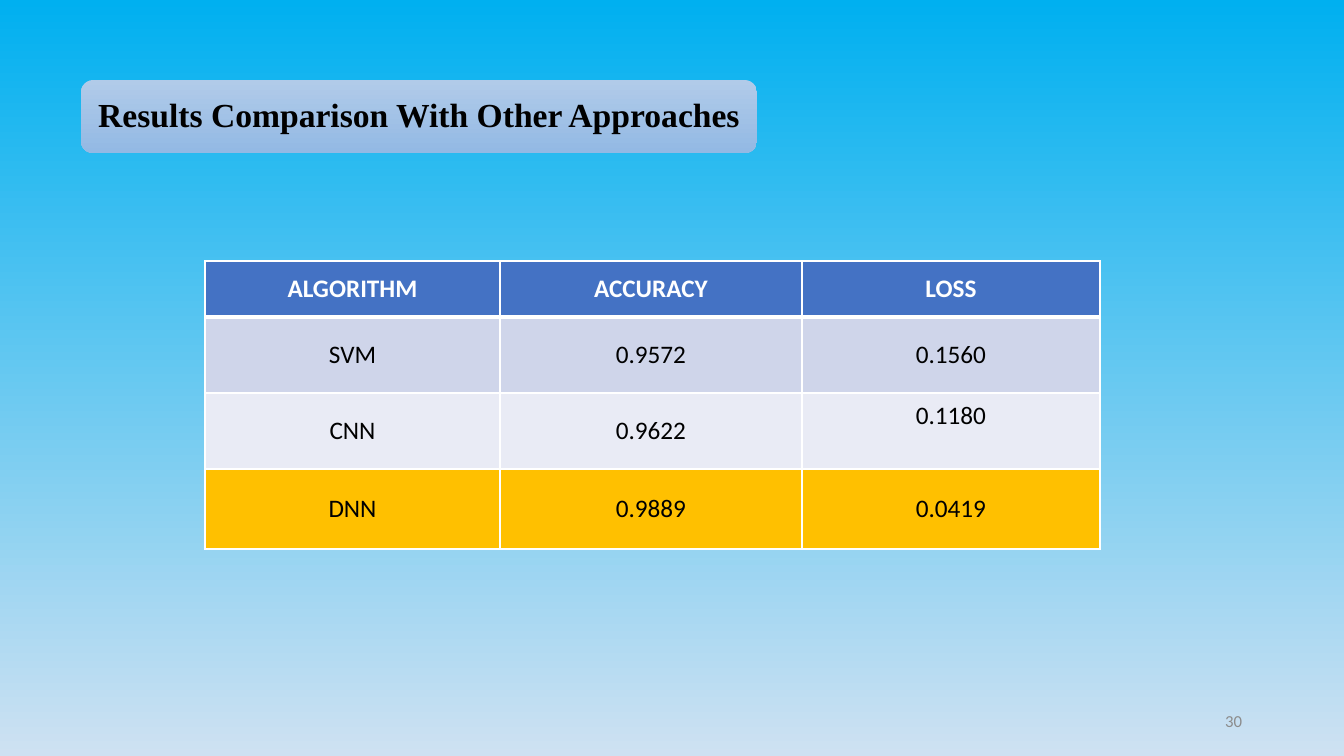
from lxml.etree import SubElement
from pptx import Presentation
from pptx.dml.color import RGBColor
from pptx.enum.shapes import MSO_SHAPE
from pptx.enum.text import MSO_ANCHOR, PP_ALIGN
from pptx.oxml import parse_xml
from pptx.oxml.ns import nsdecls
from pptx.util import Pt

COLORS = {
    "sky": "00B0F0", "haze": "CEE1F2",
    "title_top": "B1CBE9", "title_bottom": "93B9E4",
    "header": "4472C4", "band_dark": "CFD5EA", "band_light": "E9EBF5",
    "best": "FFC000", "black": "000000", "white": "FFFFFF", "gray": "8C8C8C",
}
EMU_PER_PX = 914400 / 100.8


def px(n):
    return round(n * EMU_PER_PX)


def rgb(name):
    return RGBColor.from_string(COLORS[name])


class Deck:
    font = "Calibri"

    def __init__(self, width, height):
        self.prs = Presentation()
        self.prs.slide_width, self.prs.slide_height = px(width), px(height)
        self.s = self.prs.slides.add_slide(self.prs.slide_layouts[6])

    def gradient(self, fill, top, bottom):
        fill.gradient()
        fill.gradient_angle = 270
        for stop, color, position in zip(fill.gradient_stops, (top, bottom), (0, 1)):
            stop.color.rgb = rgb(color)
            stop.position = position

    def set_text(self, tf, text, size, color, align, bold=False, font=None):
        tf.word_wrap = True
        p = tf.paragraphs[0]
        p.text = text
        p.alignment = align
        p.font.name = font or self.font
        p.font.size, p.font.bold = Pt(size), bold
        p.font.color.rgb = rgb(color)
        return p

    def title(self, text, x, y, w, h):
        sp = self.s.shapes.add_shape(MSO_SHAPE.ROUNDED_RECTANGLE, px(x), px(y), px(w), px(h))
        sp.shadow.inherit = False
        sp.line.fill.background()
        self.gradient(sp.fill, "title_top", "title_bottom")
        sp.text_frame.vertical_anchor = MSO_ANCHOR.MIDDLE
        p = self.set_text(sp.text_frame, text, 24, "black", PP_ALIGN.CENTER, True,
                          "Times New Roman")
        p.line_spacing = 0.9

    def text(self, text, x, y, w, h, size, color, align):
        tf = self.s.shapes.add_textbox(px(x), px(y), px(w), px(h)).text_frame
        tf.vertical_anchor = MSO_ANCHOR.MIDDLE
        self.set_text(tf, text, size, color, align)

    def borders(self, cell, top, bottom):
        tcPr = cell._tc.get_or_add_tcPr()
        for i, (side, width) in enumerate(zip("LRTB", (1, 1, top, bottom))):
            ln = parse_xml(f'<a:ln{side} {nsdecls("a")} w="{Pt(width)}"><a:solidFill/></a:ln{side}>')
            SubElement(ln[0], ln[0].tag.replace("solidFill", "srgbClr"), val=COLORS["white"])
            tcPr.insert(i, ln)

    def table(self, rows, fills, x, y, widths, heights):
        frame = self.s.shapes.add_table(len(rows), len(widths), px(x), px(y),
                                        px(sum(widths)), px(sum(heights)))
        table = frame.table
        for col, w in zip(table.columns, widths):
            col.width = px(w)
        for i, (row, fill, h) in enumerate(zip(rows, fills, heights)):
            table.rows[i].height = px(h)
            for j, value in enumerate(row):
                cell = table.cell(i, j)
                cell.vertical_anchor = MSO_ANCHOR.MIDDLE
                cell.fill.solid()
                cell.fill.fore_color.rgb = rgb(fill)
                self.set_text(cell.text_frame, value, 18, "black" if i else "white",
                              PP_ALIGN.CENTER, i == 0)
                self.borders(cell, 3 if i == 1 else 1, 3 if i == 0 else 1)
        return table


def main():
    deck = Deck(1344, 756)

    # Background
    deck.gradient(deck.s.background.fill, "sky", "haze")

    # Title
    deck.title("Results Comparison With Other Approaches", 81, 80, 676, 73)

    # Results table
    results = [
        ("ALGORITHM", "ACCURACY", "LOSS"),
        ("SVM", "0.9572", "0.1560"),
        ("CNN", "0.9622", "0.1180"),
        ("DNN", "0.9889", "0.0419"),
    ]
    table = deck.table(results, ("header", "band_dark", "band_light", "best"),
                       205, 261, (295, 302, 298), (56, 76, 76, 80))
    # The CNN loss sits above the middle of its cell
    table.cell(2, 2).margin_bottom = px(35)

    # Slide number
    deck.text("30", 950, 701, 302, 40, 12, "gray", PP_ALIGN.RIGHT)

    deck.prs.save("out.pptx")


if __name__ == "__main__":
    main()
